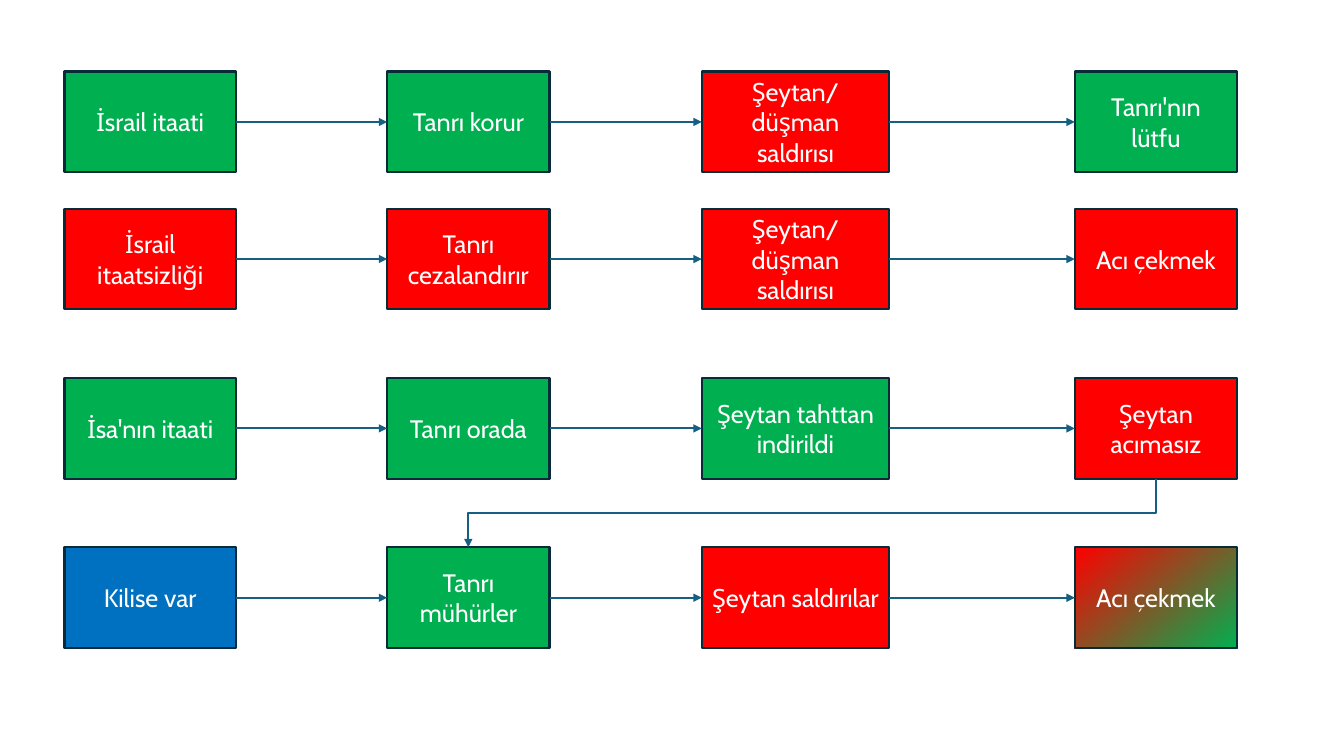
import pptx
import pptx.util
import pptx.dml.color
import pptx.enum.shapes
import pptx.enum.text
import pptx.oxml

RGBColor = pptx.dml.color.RGBColor
GREEN = RGBColor(0x00, 0xB0, 0x50)
RED = RGBColor(0xFF, 0x00, 0x00)
BLUE = RGBColor(0x00, 0x70, 0xC0)
OUTLINE = RGBColor(0x09, 0x2A, 0x39)
ARROW = RGBColor(0x15, 0x60, 0x82)
WHITE = RGBColor(0xFF, 0xFF, 0xFF)

PX = pptx.util.Inches(1) // 100
FONT = "Cabin"
TOP, LEFT, BOTTOM, RIGHT = range(4)
BOX_HEIGHT = 100
COLUMNS = [(64, 170), (384, 161), (696, 186), (1066, 161)]
ATTACK = "Şeytan/\ndüşman saldırısı"
ROWS = [
    (71, [("İsrail itaati", [GREEN]), ("Tanrı korur", [GREEN]),
          (ATTACK, [RED]), ("Tanrı'nın lütfu", [GREEN])]),
    (207, [("İsrail itaatsizliği", [RED]), ("Tanrı cezalandırır", [RED]),
           (ATTACK, [RED]), ("Acı çekmek", [RED])]),
    (375, [("İsa'nın itaati", [GREEN]), ("Tanrı orada", [GREEN]),
           ("Şeytan tahttan indirildi", [GREEN]), ("Şeytan acımasız", [RED])]),
    (543, [("Kilise var", [BLUE]), ("Tanrı mühürler", [GREEN]),
           ("Şeytan saldırılar", [RED]), ("Acı çekmek", [RED, GREEN])]),
]


def fill_box(shape, colors):
    if len(colors) == 1:
        shape.fill.solid()
        shape.fill.fore_color.rgb = colors[0]
        return
    shape.fill.gradient()
    shape.fill.gradient_angle = 310
    for stop, color in zip(shape.fill.gradient_stops, colors):
        stop.color.rgb = color


def add_box(slide, left, top, width, height, text, colors):
    shape = slide.shapes.add_shape(
        pptx.enum.shapes.MSO_SHAPE.RECTANGLE,
        left * PX, top * PX, width * PX, height * PX)
    shape.shadow.inherit = False
    fill_box(shape, colors)
    shape.line.color.rgb = OUTLINE
    shape.line.width = pptx.util.Pt(1.5)
    frame = shape.text_frame
    frame.word_wrap = True
    frame.vertical_anchor = pptx.enum.text.MSO_ANCHOR.MIDDLE
    frame.text = text
    for paragraph in frame.paragraphs:
        paragraph.alignment = pptx.enum.text.PP_ALIGN.CENTER
        paragraph.font.name = FONT
        paragraph.font.size = pptx.util.Pt(18)
        paragraph.font.color.rgb = WHITE
    return shape


def add_arrow(slide, kind, start, start_side, end, end_side):
    connector = slide.shapes.add_connector(kind, 0, 0, 0, 0)
    connector.begin_connect(start, start_side)
    connector.end_connect(end, end_side)
    connector.line.color.rgb = ARROW
    connector.line.width = pptx.util.Pt(1.5)
    line = connector.line._get_or_add_ln()
    head = pptx.oxml.parse_xml(
        '<a:tailEnd xmlns:a="http://schemas.openxmlformats.org/drawingml/2006/main"'
        ' type="triangle"/>')
    line.append(head)
    effects = pptx.oxml.parse_xml(
        '<a:effectLst xmlns:a="http://schemas.openxmlformats.org/drawingml/2006/main"/>')
    connector._element.spPr.append(effects)
    return connector


def add_row(slide, top, cells):
    boxes = [add_box(slide, left, top, width, BOX_HEIGHT, text, colors)
             for (left, width), (text, colors) in zip(COLUMNS, cells)]
    for start, end in zip(boxes, boxes[1:]):
        add_arrow(slide, pptx.enum.shapes.MSO_CONNECTOR.STRAIGHT,
                  start, RIGHT, end, LEFT)
    return boxes


def add_return_arrow(slide, start, end):
    connector = add_arrow(slide, pptx.enum.shapes.MSO_CONNECTOR.ELBOW,
                          start, BOTTOM, end, TOP)
    start_x = start.left + start.width // 2
    start_y = start.top + start.height
    end_x = end.left + end.width // 2
    across, down = start_x - end_x, end.top - start_y
    connector.left = (start_x + end_x - down) // 2
    connector.top = (start_y + end.top - across) // 2
    connector.width, connector.height = down, across
    transform = connector._element.spPr.get_or_add_xfrm()
    transform.flipH = False
    transform.flipV = False
    transform.set("rot", str(90 * 60000))


def build_flow_slide(presentation):
    slide = presentation.slides.add_slide(presentation.slide_layouts[6])
    rows = [add_row(slide, top, cells) for top, cells in ROWS]
    add_return_arrow(slide, rows[2][3], rows[3][1])


def main():
    presentation = pptx.Presentation()
    presentation.slide_width = 1333 * PX
    presentation.slide_height = 750 * PX
    build_flow_slide(presentation)
    presentation.save("out.pptx")


if __name__ == "__main__":
    main()
